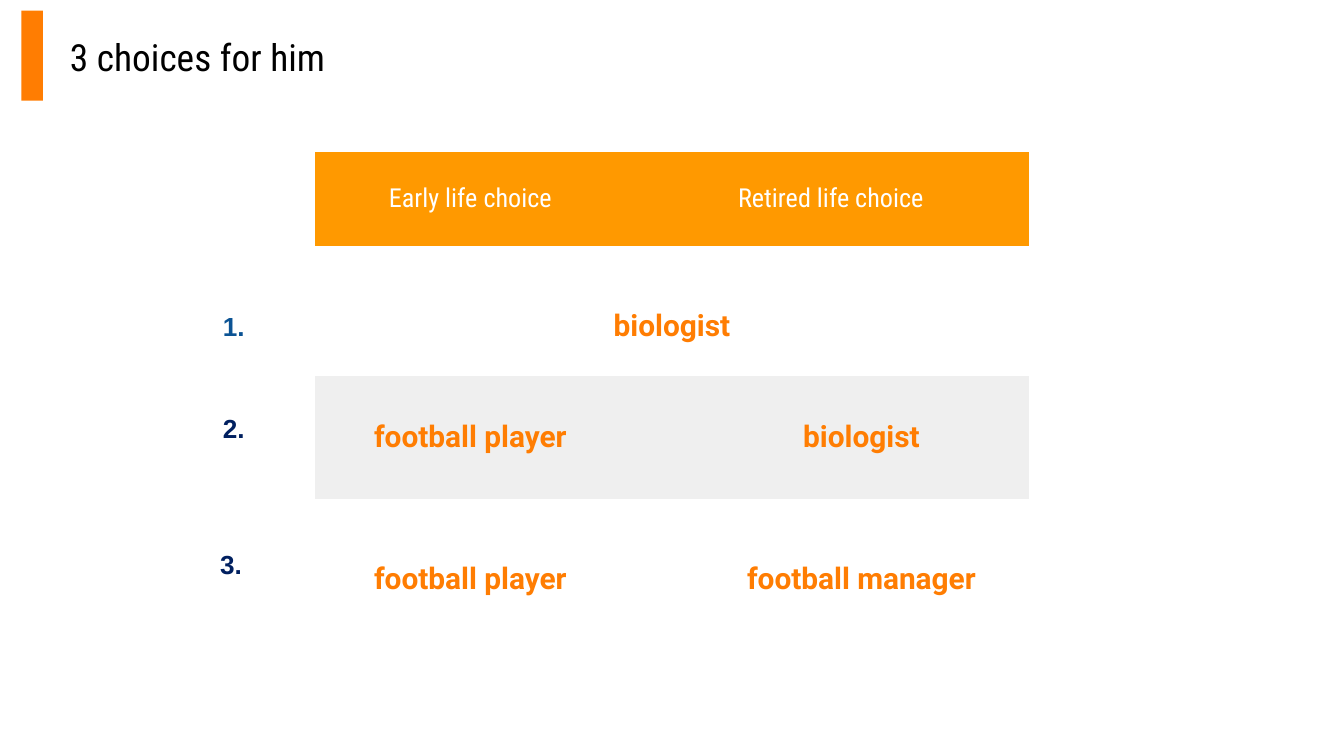
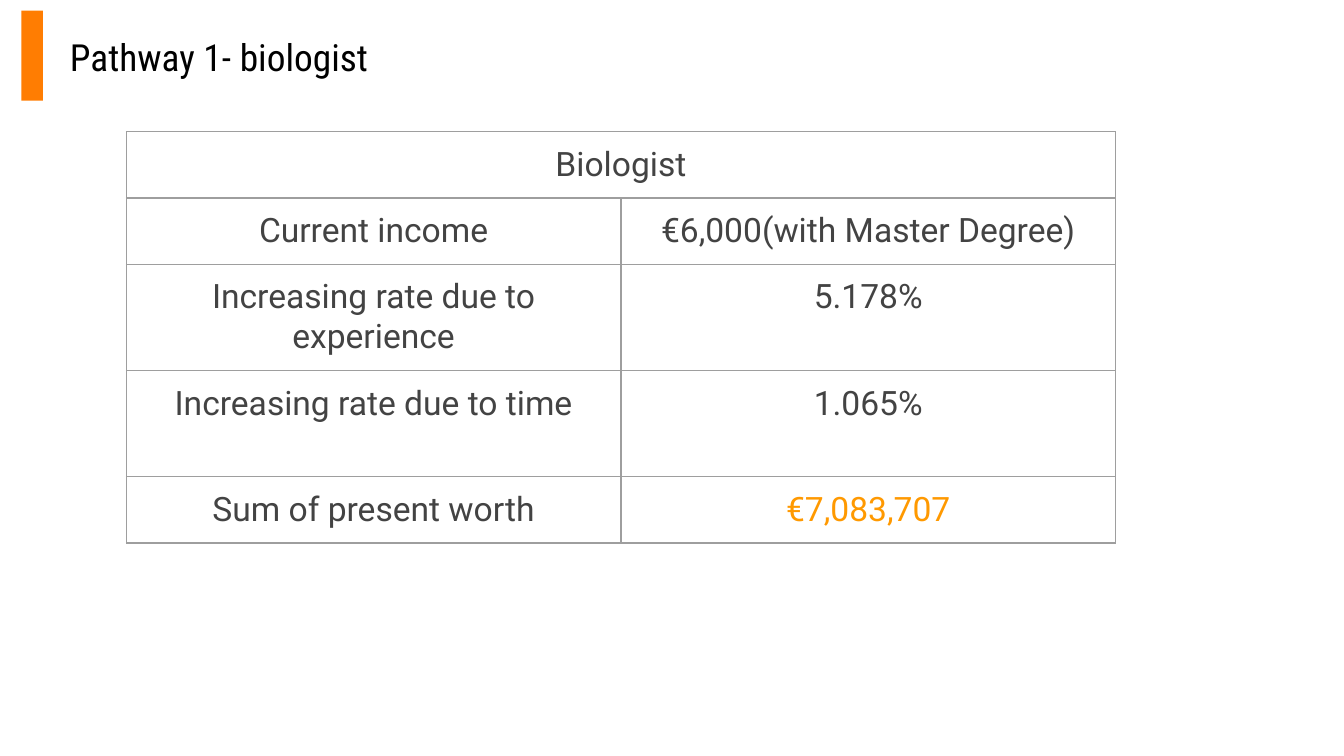
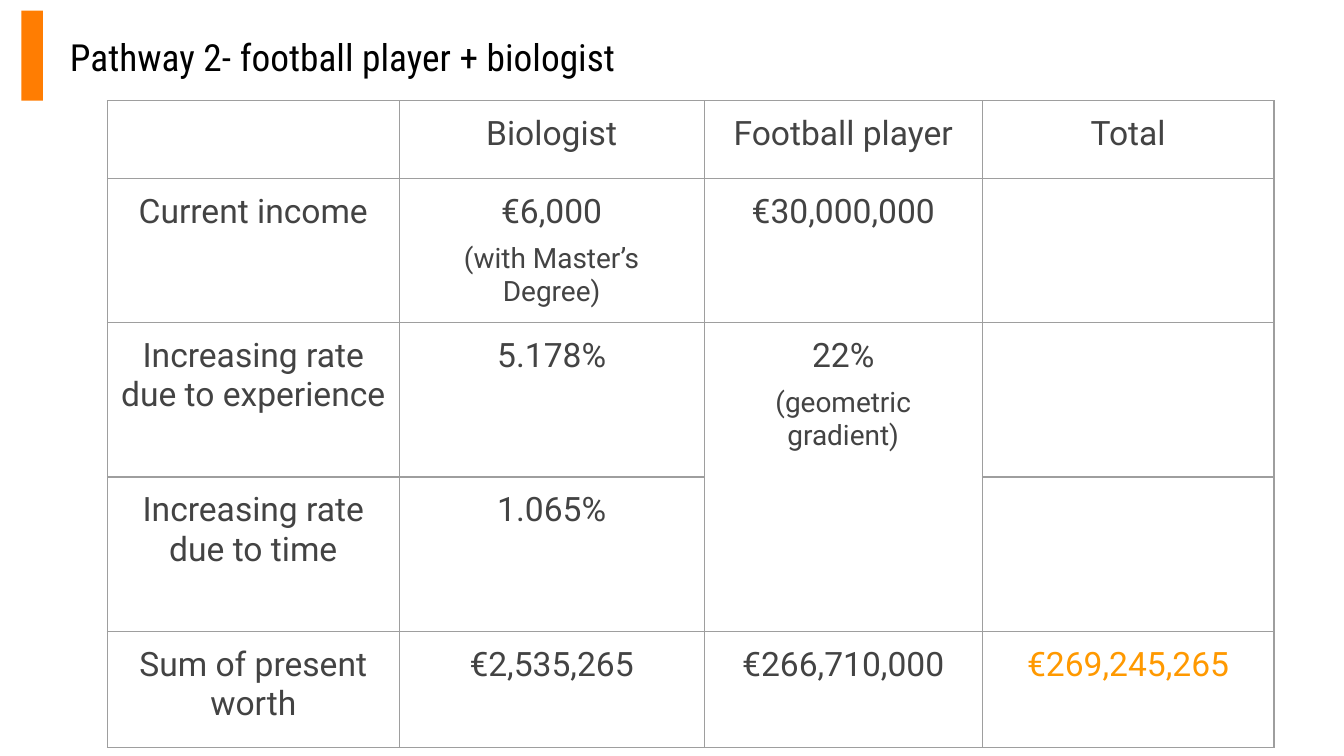
from lxml import etree
from pptx import Presentation
from pptx.dml.color import RGBColor
from pptx.enum.shapes import MSO_SHAPE
from pptx.enum.text import MSO_ANCHOR, MSO_AUTO_SIZE, PP_ALIGN
from pptx.oxml.ns import qn
from pptx.util import Inches, Pt

RECT = MSO_SHAPE.RECTANGLE
MIDDLE = MSO_ANCHOR.MIDDLE
FIXED = MSO_AUTO_SIZE.NONE
LEFT, CENTER = PP_ALIGN.LEFT, PP_ALIGN.CENTER
PLAIN = "{2D5ABB26-0587-4C30-8999-92F81FD0307C}"  # table style without lines

COLORS = {
    "bar": "FF7D02", "gold": "FF9900", "band": "EFEFEF", "rule": "9E9E9E",
    "text": "434343", "black": "000000", "white": "FFFFFF",
    "blue": "0B5394", "navy": "002060",
}
WIDE, TIGHT = "Roboto", "Roboto Condensed"
PAD = Inches(0.1)


def pen(para, size, face, color, bold=False, align=CENTER):
    """Format a paragraph and its runs."""
    para.alignment = align
    for run in para.runs:
        font = run.font
        font.size, font.name, font.bold = Pt(size), face, bold
        font.color.rgb = RGBColor.from_string(COLORS[color])


def grid(slide, left, top, cols, rows, data, span, rule=None):
    """Add a plain table, with cell borders if a rule colour is given."""
    frame = slide.shapes.add_table(
        len(rows), len(cols), Inches(left), Inches(top),
        Inches(sum(cols)), Inches(sum(rows)))
    table = frame.table
    table.first_row = table.horz_banding = False
    table._tbl.tblPr.find(qn("a:tableStyleId")).text = PLAIN
    for col, width in zip(table.columns, cols):
        col.width = Inches(width)
    for row, height in zip(table.rows, rows):
        row.height = Inches(height)
    for r, line in enumerate(data):
        for c, text in enumerate(line):
            cell = table.cell(r, c)
            cell.margin_left = cell.margin_right = PAD
            cell.margin_top = cell.margin_bottom = PAD
            cell.text = text
            if rule:
                props = cell._tc.get_or_add_tcPr()
                for side in ("a:lnL", "a:lnR", "a:lnT", "a:lnB"):
                    edge = etree.SubElement(props, qn(side), w=str(Pt(0.75)))
                    fill = etree.SubElement(edge, qn("a:solidFill"))
                    etree.SubElement(fill, qn("a:srgbClr"), val=COLORS[rule])
            cell.fill.background()
    (r1, c1), (r2, c2) = span
    table.cell(r1, c1).merge(table.cell(r2, c2))
    return table


# Widescreen deck, 16 to 9
deck = Presentation()
deck.slide_width = Inches(10)
deck.slide_height = deck.slide_width * 9 // 16

# Shared bar and title
slides = []
for name in ("3 choices for him", "Pathway 1- biologist",
             "Pathway 2- football player + biologist"):
    slide = deck.slides.add_slide(deck.slide_layouts[5])
    bar = slide.shapes.add_shape(
        RECT, Inches(0.16), Inches(0.08), Inches(0.16), Inches(0.67))
    bar.shadow.inherit = False
    bar.fill.solid()
    bar.fill.fore_color.rgb = RGBColor.from_string(COLORS["bar"])
    bar.line.fill.background()
    title = slide.shapes.title
    title.left, title.top = Inches(0.42), Inches(0.2)
    title.width, title.height = Inches(7.13), Inches(0.44)
    frame = title.text_frame
    frame.text = name
    frame.auto_size, frame.vertical_anchor = FIXED, MIDDLE
    pen(frame.paragraphs[0], 20, TIGHT, "black", align=LEFT)
    slides.append(slide)

# Slide 1: table of choices
data = [
    ["Early life choice", " Retired life choice"],
    ["biologist", ""],
    ["football player", "biologist"],
    ["football player", "football manager"],
]
table = grid(slides[0], 2.34, 1.13, [2.32, 3], [0.7, 0.97, 0.91, 1.2],
             data, ((1, 0), (1, 1)))
fills = {0: "gold", 2: "band"}
for r in range(len(data)):
    for c in range(2):
        cell = table.cell(r, c)
        cell.vertical_anchor = MIDDLE
        para = cell.text_frame.paragraphs[0]
        if r == 0:
            pen(para, 14, TIGHT, "white")
        else:
            pen(para, 16, WIDE, "bar", True)
        if r > 1 and c == 1:
            para._p.get_or_add_pPr().set("marL", str(Inches(0.5)))
        if r in fills:
            cell.fill.solid()
            cell.fill.fore_color.rgb = RGBColor.from_string(COLORS[fills[r]])
table.cell(1, 0).margin_top = Inches(0.32)

# Slide 1: row numbers
for text, left, top, width, height, color in (
        ("1.", 1.56, 2.21, 0.38, 0.38, "blue"),
        ("2.", 1.56, 2.97, 0.38, 0.38, "navy"),
        ("3.", 1.54, 3.98, 0.43, 0.54, "navy")):
    box = slides[0].shapes.add_textbox(
        Inches(left), Inches(top), Inches(width), Inches(height))
    frame = box.text_frame
    frame.text, frame.word_wrap = text, True
    frame.margin_left = frame.margin_right = PAD
    frame.margin_top = frame.margin_bottom = PAD
    pen(frame.paragraphs[0], 14, "Arial", color, True, LEFT)

# Slides 2 and 3: income tables
one = [
    ["Biologist", ""],
    ["Current income", "€6,000(with Master Degree)"],
    ["Increasing rate due to experience", "5.178%"],
    ["Increasing rate due to time", "1.065%"],
    ["Sum of present worth", "€7,083,707"],
]
two = [
    ["", "Biologist", "Football player", "Total"],
    ["Current income", "€6,000\n(with Master’s Degree)", "€30,000,000", ""],
    ["Increasing rate due to experience", "5.178%",
     "22%\n(geometric gradient)", ""],
    ["Increasing rate due to time", "1.065%", "", ""],
    ["Sum of present worth", "€2,535,265", "€266,710,000", "€269,245,265"],
]
paths = (
    (slides[1], 0.94, 0.98, [3.68] * 2, [0.49, 0.49, 0.79, 0.79, 0.49],
     one, ((0, 0), (0, 1))),
    (slides[2], 0.8, 0.75, [2.17, 2.27, 2.07, 2.17],
     [0.58, 1.07, 1.15, 1.15, 0.86], two, ((2, 2), (3, 2))),
)
for args in paths:
    table = grid(*args, rule="rule")
    cells = list(table.iter_cells())
    for cell in cells:
        color = "gold" if cell is cells[-1] else "text"
        for para in cell.text_frame.paragraphs:
            para.space_before = Pt(6)
            size = 15 if para.text.startswith("(") else 18
            pen(para, size, WIDE, color)

deck.save("out.pptx")
